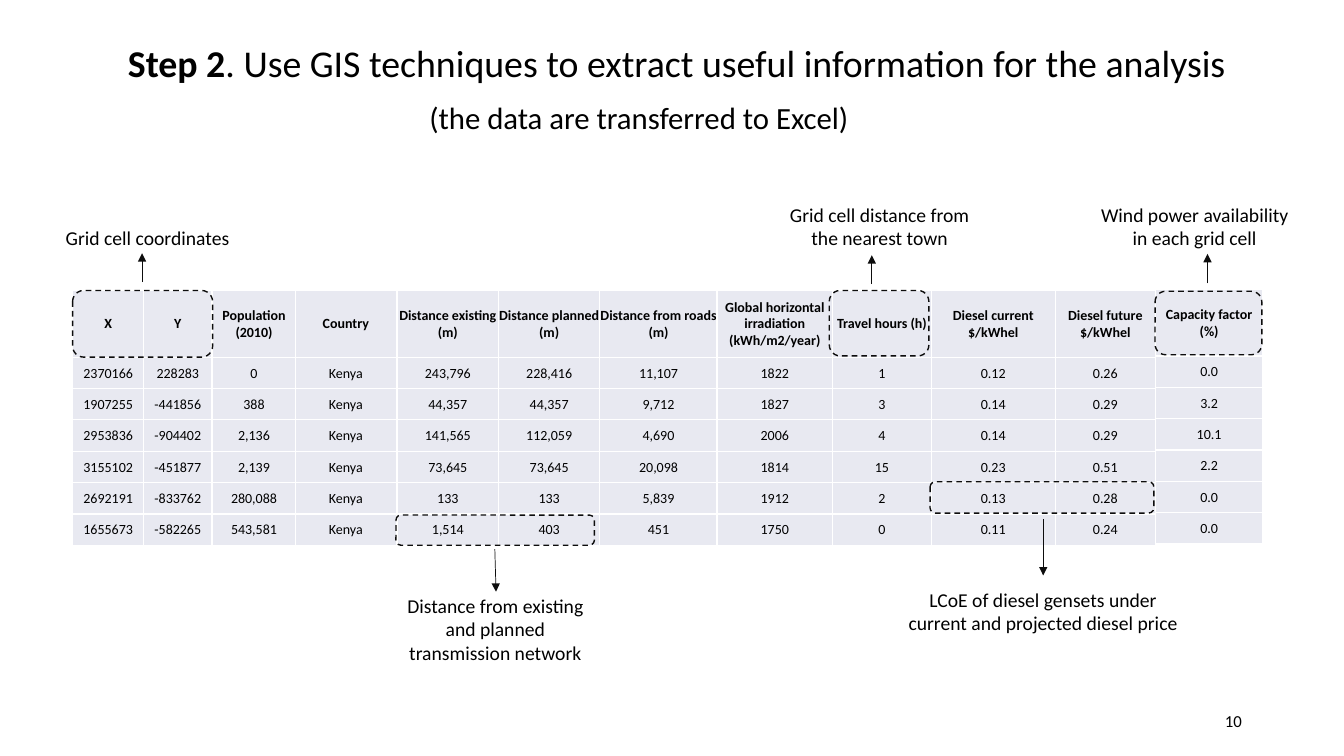
from lxml import etree
from pptx import Presentation
from pptx import util as u
from pptx.dml.color import RGBColor
from pptx.enum import dml, shapes, text
from pptx.oxml import parse_xml
from pptx.oxml.ns import nsdecls, qn

BLACK = RGBColor(0x00, 0x00, 0x00)
INK = RGBColor(0x0D, 0x0D, 0x0D)
CELL = RGBColor(0xE8, 0xE9, 0xF1)
WHITE = RGBColor(0xFF, 0xFF, 0xFF)
CENTER, LEFT, RIGHT = text.PP_ALIGN.CENTER, text.PP_ALIGN.LEFT, text.PP_ALIGN.RIGHT

TABLE_TOP, HEADER_H, ROW_H = 7.32, 1.68, 0.79
TABLES = [
    (1.83, TABLE_TOP, {
        "X": (1.79, "2370166 1907255 2953836 3155102 2692191 1655673"),
        "Y": (1.72, "228283 -441856 -904402 -451877 -833762 -582265")}),
    (5.36, TABLE_TOP, {
        "Population (2010)": (2.08, "0 388 2,136 2,139 280,088 543,581"),
        "Country": (2.55, "Kenya Kenya Kenya Kenya Kenya Kenya")}),
    (10.01, TABLE_TOP, {
        "Distance existing (m)": (2.55, "243,796 44,357 141,565 73,645 133 1,514"),
        "Distance planned (m)": (2.56, "228,416 44,357 112,059 73,645 133 403")}),
    (15.11, TABLE_TOP, {
        "Distance from roads (m)": (2.97, "11,107 9,712 4,690 20,098 5,839 451")}),
    (18.07, TABLE_TOP, {
        "Global horizontal irradiation (kWh/m2/year)":
            (2.91, "1822 1827 2006 1814 1912 1750")}),
    (20.98, TABLE_TOP, {"Travel hours (h)": (2.49, "1 3 4 15 2 0")}),
    (23.47, TABLE_TOP, {
        "Diesel current $/kWhel": (3.12, "0.12 0.14 0.14 0.23 0.13 0.11"),
        "Diesel future $/kWhel": (2.53, "0.26 0.29 0.29 0.51 0.28 0.24")}),
    (29.11, 7.29, {"Capacity factor (%)": (2.72, "0.0 3.2 10.1 2.2 0.0 0.0")}),
]
CALLOUTS = [
    ("Grid cell coordinates", (1.32, 5.56, 4.8, 0.86),
     (1.83, 7.32, 3.53, 1.68), (3.58, 7.11, 3.58, 6.38)),
    ("Distance from existing and planned transmission network", (9.83, 14.83, 5.31, 2.06),
     (9.98, 12.98, 5.0, 0.76), (12.47, 13.84, 12.5, 14.91)),
    ("Grid cell distance from the nearest town", (19.3, 4.98, 5.74, 1.45),
     (20.9, 7.32, 2.51, 1.65), (21.97, 7.16, 21.97, 6.43)),
    ("LCoE of diesel gensets under current and projected diesel price",
     (22.38, 14.68, 7.82, 1.45), (23.44, 12.14, 5.64, 0.79), (26.29, 13.08, 26.29, 14.5)),
    ("Wind power availability in each grid cell", (27.28, 4.98, 5.66, 1.45),
     (29.11, 7.34, 2.69, 1.6), (30.43, 7.14, 30.43, 6.4)),
]


class Deck:
    """Holds the text style and the current slide, and draws each kind of element."""

    font = {"name": "Calibri", "bold": False}

    def __init__(self, prs):
        self.s = prs.slides.add_slide(prs.slide_layouts[5])

    def fill_text(self, tf, runs, size, align, spacing=None, **frame):
        frame = {"word_wrap": True, "auto_size": text.MSO_AUTO_SIZE.NONE,
                 "vertical_anchor": text.MSO_ANCHOR.TOP, **frame}
        for key, value in frame.items():
            setattr(tf, key, value)
        p = tf.paragraphs[0]
        for key, value in {"alignment": align, "line_spacing": spacing}.items():
            setattr(p, key, value)
        for words, bold in runs:
            r = p.add_run()
            r.text = words
            for key, value in {**self.font, "size": u.Pt(size), "bold": bold}.items():
                setattr(r.font, key, value)
            r.font.color.rgb = BLACK

    def title(self, box, runs, size):
        sp = self.s.shapes.title
        for key, value in zip(("left", "top", "width", "height"), box):
            setattr(sp, key, u.Cm(value))
        self.fill_text(sp.text_frame, runs, size, LEFT, 0.9)

    def label(self, box, words, size, align=CENTER, spacing=None, **frame):
        sp = self.s.shapes.add_textbox(*map(u.Cm, box))
        self.fill_text(sp.text_frame, [(words, False)], size, align, spacing, **frame)

    def table(self, left, top, columns):
        heights = [HEADER_H] + [ROW_H] * 6
        widths = [width for width, _ in columns.values()]
        frame = self.s.shapes.add_table(len(heights), len(widths), u.Cm(left), u.Cm(top),
                                        u.Cm(sum(widths)), u.Cm(sum(heights)))
        tb = frame.table
        tb.first_row = tb.horz_banding = False
        for row, height in zip(tb.rows, heights):
            row.height = u.Cm(height)
        for j, (head, (width, values)) in enumerate(columns.items()):
            tb.columns[j].width = u.Cm(width)
            for i, words in enumerate([head] + values.split()):
                self.cell(tb.cell(i, j), words, i == 0)

    def cell(self, cell, words, bold):
        margins = {"margin_left": 0.02, "margin_right": 0.02, "margin_top": 0.02,
                   "margin_bottom": 0}
        for key, value in margins.items():
            setattr(cell, key, u.Cm(value))
        cell.vertical_anchor = text.MSO_ANCHOR.MIDDLE
        self.fill_text_cell(cell, words, bold)
        cell.fill.solid()
        cell.fill.fore_color.rgb = CELL
        tcPr = cell._tc.get_or_add_tcPr()
        for i, side in enumerate(("lnL", "lnR", "lnT", "lnB")):
            tcPr.insert(i, parse_xml(
                f'<a:{side} {nsdecls("a")} w="12700"><a:solidFill>'
                f'<a:srgbClr val="{WHITE}"/></a:solidFill></a:{side}>'))

    def fill_text_cell(self, cell, words, bold):
        p = cell.text_frame.paragraphs[0]
        p.alignment = CENTER
        r = p.add_run()
        r.text = words
        for key, value in {**self.font, "size": u.Pt(10), "bold": bold}.items():
            setattr(r.font, key, value)
        r.font.color.rgb = BLACK

    def frame(self, box):
        sp = self.s.shapes.add_shape(shapes.MSO_SHAPE.ROUNDED_RECTANGLE, *map(u.Cm, box))
        sp.shadow.inherit = False
        sp.fill.background()
        sp.line.color.rgb = INK
        for key, value in {"width": u.Pt(1), "dash_style": dml.MSO_LINE.DASH}.items():
            setattr(sp.line, key, value)

    def arrow(self, ends):
        c = self.s.shapes.add_connector(shapes.MSO_CONNECTOR.STRAIGHT, *map(u.Cm, ends))
        c.line.color.rgb = INK
        c.line.width = u.Pt(0.5)
        etree.SubElement(c.line._get_or_add_ln(), qn("a:tailEnd"), type="triangle")
        etree.SubElement(c._element.spPr, qn("a:effectLst"))


def main():
    """Builds the slide and saves it."""
    prs = Presentation()
    prs.slide_width, prs.slide_height = u.Cm(33.87), u.Cm(19.05)
    deck = Deck(prs)
    deck.title((2.97, 0.99, 28.96, 1.24),
               [("Step 2", True),
                (". Use GIS techniques to extract useful information for the analysis", False)],
               27)
    deck.label((10.57, 2.46, 11.18, 1.24), "(the data are transferred to Excel)", 22, LEFT, 0.9)
    for left, top, columns in TABLES:
        deck.table(left, top, columns)
    for words, box, outline, ends in CALLOUTS:
        deck.label(box, words, 14, auto_size=text.MSO_AUTO_SIZE.SHAPE_TO_FIT_TEXT)
        deck.frame(outline)
        deck.arrow(ends)
    deck.label((23.93, 17.65, 7.62, 1.02), "10", 12, RIGHT,
               vertical_anchor=text.MSO_ANCHOR.MIDDLE)
    prs.save("out.pptx")


if __name__ == "__main__":
    main()
